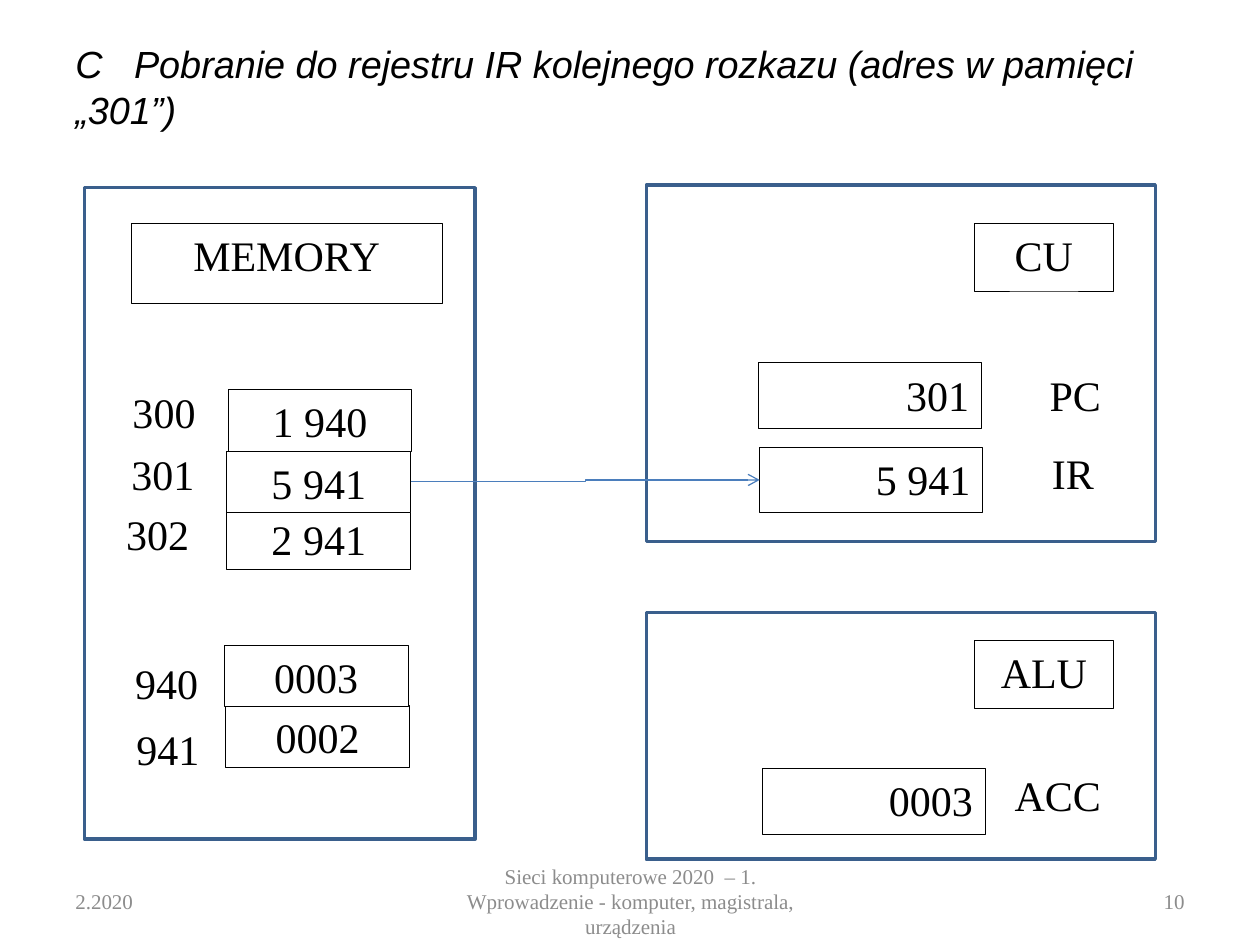
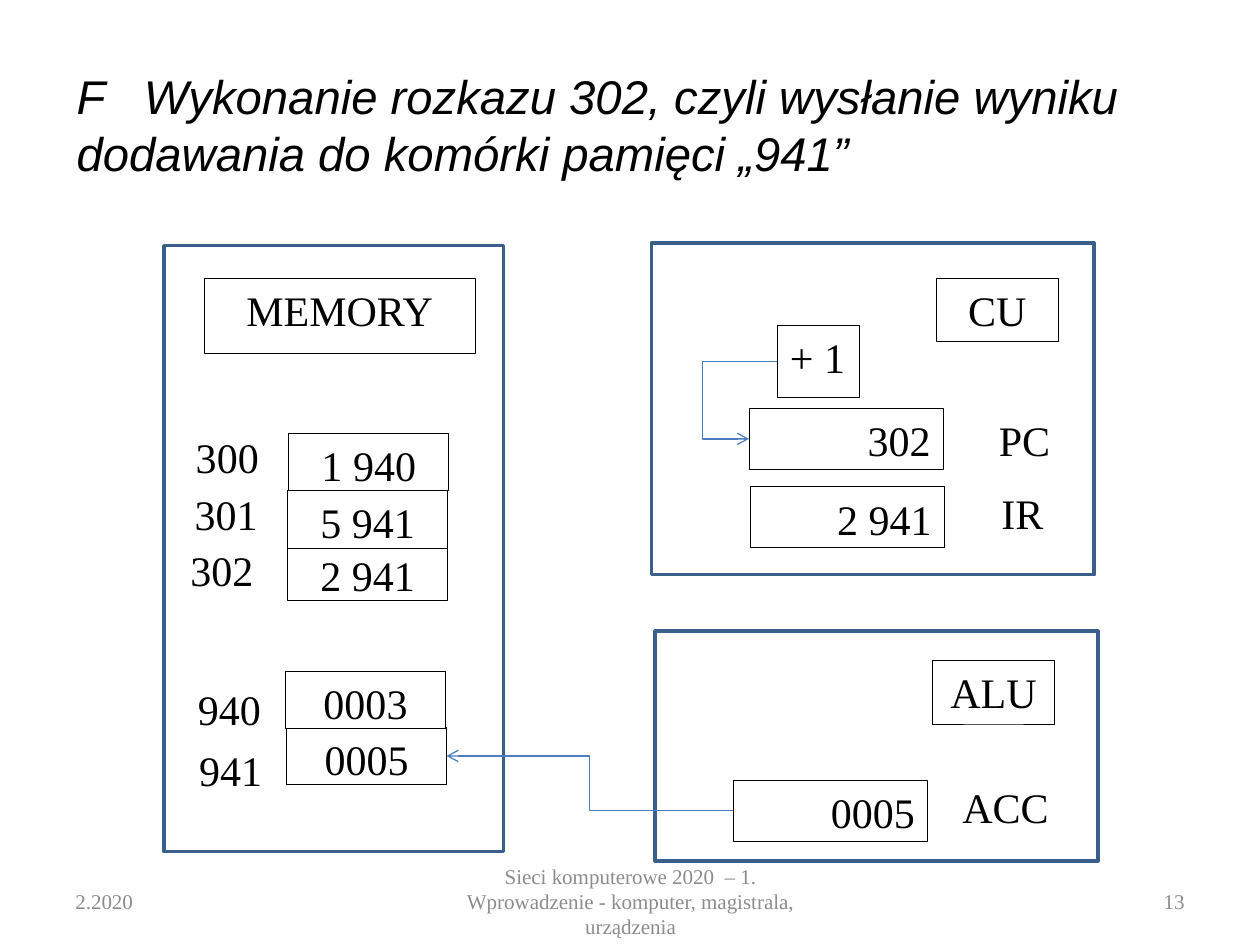
from pptx import Presentation
from pptx.dml.color import RGBColor
from pptx.enum.shapes import MSO_CONNECTOR, MSO_SHAPE
from pptx.enum.text import MSO_ANCHOR, PP_ALIGN
from pptx.oxml.ns import qn
from pptx.oxml.xmlchemy import OxmlElement
from pptx.util import Inches, Pt

LEFT, CENTER, RIGHT = PP_ALIGN.LEFT, PP_ALIGN.CENTER, PP_ALIGN.RIGHT
TOP, MIDDLE = MSO_ANCHOR.TOP, MSO_ANCHOR.MIDDLE
RECTANGLE = MSO_SHAPE.RECTANGLE
ELBOW = MSO_CONNECTOR.ELBOW

BLACK, WHITE, GRAY = "000000", "FFFFFF", "8C8C8C"
FRAME_BLUE, ARROW_BLUE = "3A5F8C", "4B7EBC"
TITLE_FONT, BODY_FONT = "Arial", "Times New Roman"

# Offsets from the frame of the memory: address, label left, label top, cell left, cell top
MEMORY_ROWS = [
    ("300", 0.13, 1.53, 1.14, 1.6),
    ("941", 0.16, 4.2, 1.12, 4.11),
    ("940", 0.15, 3.68, 1.11, 3.63),
    ("302", 0.08, 2.5, 1.13, 2.54),
    ("301", 0.12, 2.02, 1.13, 2.09),
]


def color(value):
    return RGBColor.from_string(value)


class Deck:
    def __init__(self):
        self.presentation = Presentation()
        self.presentation.slide_width = Inches(10)
        self.presentation.slide_height = Inches(7.5)
        self.slide = None
        self.scale = (1, 1)
        self.origin = (0, 0)

    def start_slide(self, number, title, title_box, title_size, scale):
        self.slide = self.presentation.slides.add_slide(self.presentation.slide_layouts[6])
        self.scale = scale
        self.text(title_box, title, LEFT, title_size, TITLE_FONT, BLACK, italic=True)
        footer = [
            (0.5, 2.33, "2.2020", LEFT),
            (3.42, 3.17, "Sieci komputerowe 2020  – 1. Wprowadzenie - komputer, "
                         "magistrala, urządzenia", CENTER),
            (7.17, 2.33, str(number), RIGHT),
        ]
        for left, width, words, align in footer:
            self.text((left, 6.95, width, 0.4), words, align, 12, BODY_FONT, GRAY)

    def fill_text(self, shape, words, align, anchor, size, font, text_color, italic=False):
        frame = shape.text_frame
        frame.word_wrap = True
        frame.vertical_anchor = anchor
        paragraph = frame.paragraphs[0]
        paragraph.alignment = align
        run = paragraph.add_run()
        run.text = words
        run.font.name = font
        run.font.size = Pt(size)
        run.font.italic = italic
        run.font.color.rgb = color(text_color)

    def text(self, box, words, align, size, font, text_color, italic=False):
        shape = self.slide.shapes.add_textbox(*map(Inches, box))
        self.fill_text(shape, words, align, MIDDLE, size, font, text_color, italic)

    def rectangle(self, box, line=None, line_width=0.5, fill=None):
        """Draw a box placed from the current unit's origin, at the slide's scale."""
        left, top, width, height = box
        scale_x, scale_y = self.scale
        shape = self.slide.shapes.add_shape(
            RECTANGLE,
            Inches(self.origin[0] + left * scale_x),
            Inches(self.origin[1] + top * scale_y),
            Inches(width * scale_x), Inches(height * scale_y))
        shape.shadow.inherit = False
        if fill:
            shape.fill.solid()
            shape.fill.fore_color.rgb = color(fill)
        else:
            shape.fill.background()
        if line:
            shape.line.color.rgb = color(line)
            shape.line.width = Pt(line_width)
        else:
            shape.line.fill.background()
        return shape

    def frame(self, origin, width, height):
        """Outline a unit; its origin becomes the base of what follows."""
        self.origin = origin
        self.rectangle((0, 0, width, height), FRAME_BLUE, 2)

    def cell(self, box, words, align=CENTER):
        shape = self.rectangle(box, BLACK, fill=WHITE)
        self.fill_text(shape, words, align, TOP, 24, BODY_FONT, BLACK)
        return shape

    def label(self, box, words, align=CENTER):
        shape = self.rectangle(box, fill=WHITE)
        self.fill_text(shape, words, align, TOP, 24, BODY_FONT, BLACK)

    def arrow(self, start, end, bend=None):
        """Join two points; bend is the place of the elbow as a share of the width."""
        connector = self.slide.shapes.add_connector(ELBOW, *start, *end)
        connector.line.color.rgb = color(ARROW_BLUE)
        connector.line.width = Pt(0.75)
        properties = connector._element.spPr
        tail = OxmlElement("a:tailEnd")
        tail.set("type", "arrow")
        properties.find(qn("a:ln")).append(tail)
        properties.append(OxmlElement("a:effectLst"))
        if bend is not None:
            guide = OxmlElement("a:gd")
            guide.set("name", "adj1")
            guide.set("fmla", f"val {round(bend * 100000)}")
            properties.find(qn("a:prstGeom")).get_or_add_avLst().append(guide)

    def memory(self, origin, values):
        """Draw the memory and return its cells by address."""
        self.frame(origin, 3.1, 5.17)
        self.cell((0.37, 0.28, 2.47, 0.64), "MEMORY")
        for address, left, top, _, _ in MEMORY_ROWS:
            self.label((left, top, 0.85, 0.47), address, RIGHT)
        return {address: self.cell((left, top, 1.46, 0.49), values[address])
                for address, _, _, left, top in MEMORY_ROWS}

    def control_unit(self, origin, counter, instruction):
        """Draw the control unit and return its PC and IR registers."""
        self.frame(origin, 4.04, 2.83)
        self.cell((2.6, 0.3, 1.11, 0.54), "CU")
        registers = [self.cell((0.89, 1.41, 1.77, 0.52), counter, RIGHT),
                     self.cell((0.9, 2.08, 1.77, 0.52), instruction, RIGHT)]
        self.label((2.99, 1.41, 0.83, 0.59), "PC")
        self.label((2.97, 2.03, 0.83, 0.59), "IR")
        return registers

    def arithmetic_unit(self, origin, inner_origin, accumulator_left, accumulator):
        """Draw the ALU, its content set from inner_origin, and return the register."""
        self.frame(origin, 4.04, 1.96)
        self.origin = inner_origin
        self.cell((2.6, 0.22, 1.11, 0.54), "ALU")
        register = self.cell((accumulator_left, 1.24, 1.77, 0.52), accumulator, RIGHT)
        self.label((2.75, 1.2, 1.03, 0.59), "ACC")
        return register


def left_middle(shape):
    return shape.left, shape.top + shape.height // 2


def right_middle(shape):
    return shape.left + shape.width, shape.top + shape.height // 2


def fetch_slide(deck):
    deck.start_slide(10, "C   Pobranie do rejestru IR kolejnego rozkazu (adres w pamięci „301”)",
                     (0.5, 0.3, 9, 0.77), 21.6, (1, 1))
    cells = deck.memory((0.67, 1.49), {"300": "1 940", "301": "5 941", "302": "2 941",
                                       "940": "0003", "941": "0002"})
    _, instruction = deck.control_unit((5.13, 1.47), "301", "5 941")
    deck.arithmetic_unit((5.13, 4.86), (5.13, 4.86), 0.92, "0003")
    deck.arrow(right_middle(cells["301"]), left_middle(instruction))


def store_slide(deck):
    deck.start_slide(13, "F   Wykonanie rozkazu 302, czyli wysłanie wyniku dodawania "
                         "do komórki pamięci „941”",
                     (0.51, 0.36, 9, 1.25), 27, (0.87, 0.93))
    cells = deck.memory((1.3, 1.95), {"300": "1 940", "301": "5 941", "302": "2 941",
                                      "940": "0003", "941": "0005"})
    counter, _ = deck.control_unit((5.17, 1.93), "302", "2 941")
    increment = deck.cell((1.15, 0.7, 0.75, 0.62), "+ 1", LEFT)
    deck.arrow(left_middle(increment), left_middle(counter), 2.64)
    accumulator = deck.arithmetic_unit((5.2, 5.01), (5.14, 5.04), 0.78, "0005")
    deck.arrow(left_middle(accumulator), right_middle(cells["941"]))


def main():
    deck = Deck()
    fetch_slide(deck)
    store_slide(deck)
    deck.presentation.save("out.pptx")


if __name__ == "__main__":
    main()
